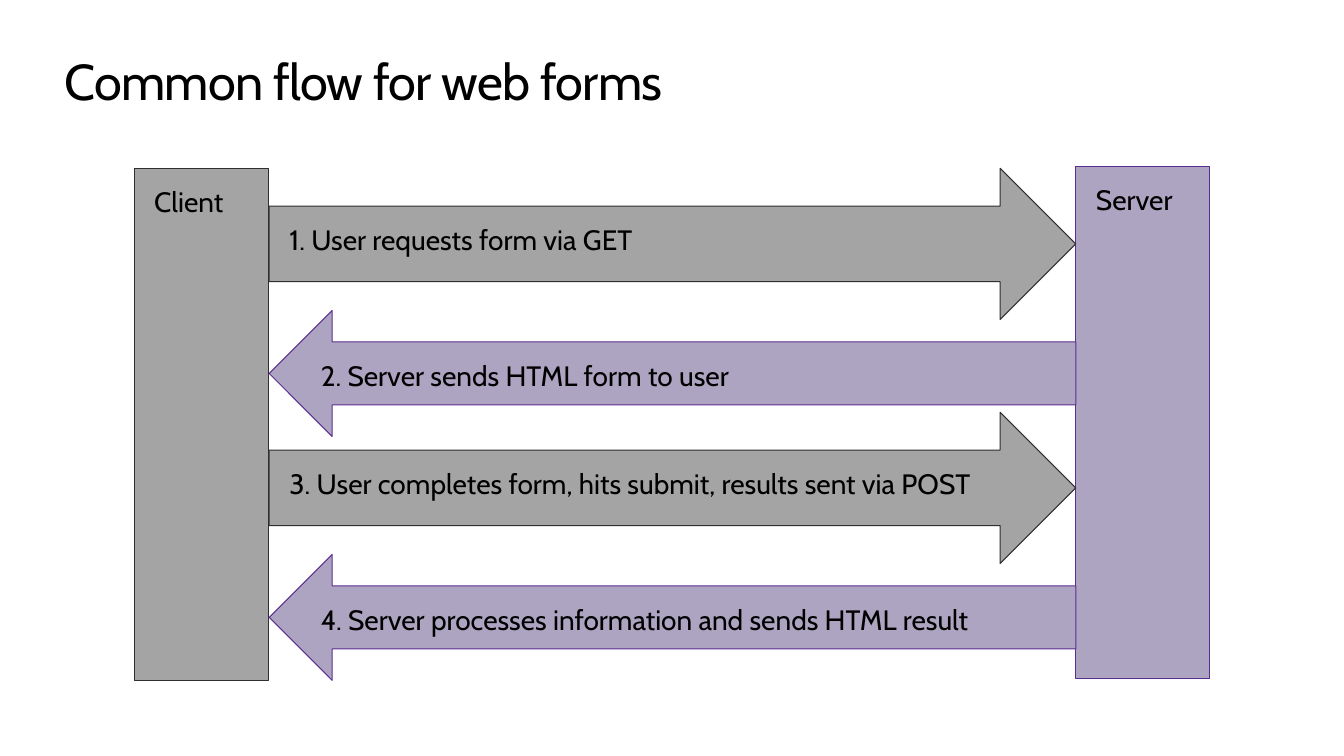
from pptx import Presentation
from pptx.dml.color import RGBColor
from pptx.enum import shapes, text
from pptx.util import Inches, Pt

FONT = "Cabin"
COLORS = {
    "text": "000000",
    "client_fill": "A4A4A4", "client_line": "2F2F2F",
    "server_fill": "ADA4C1", "server_line": "5C2D91",
}
SHAPE = shapes.MSO_SHAPE


def color(name):
    return RGBColor.from_string(COLORS[name])


def write(tf, words, size, inset_x=0, inset_y=0):
    """Put one left-aligned run at the top of a text frame."""
    tf.word_wrap = True
    tf.vertical_anchor = text.MSO_ANCHOR.TOP
    tf.margin_left = tf.margin_right = Inches(inset_x)
    tf.margin_top = tf.margin_bottom = Inches(inset_y)
    p = tf.paragraphs[0]
    p.alignment = text.PP_ALIGN.LEFT
    r = p.add_run()
    r.text = words
    r.font.name = FONT
    r.font.size = Pt(size)
    r.font.color.rgb = color("text")
    return r


def add_title(s, words, left, top, width, height):
    tf = s.shapes.add_textbox(*map(Inches, (left, top, width, height))).text_frame
    r = write(tf, words, 36)
    r.font._element.set("spc", "-50")


def add_block(s, kind, side, words, left, top, width, height):
    """Draw a labelled shape in the colours of the client or the server."""
    sp = s.shapes.add_shape(kind, *map(Inches, (left, top, width, height)))
    sp.shadow.inherit = False
    sp.fill.solid()
    sp.fill.fore_color.rgb = color(f"{side}_fill")
    sp.line.color.rgb = color(f"{side}_line")
    sp.line.width = Pt(0.75)
    write(sp.text_frame, words, 20, 0.2, 0.16)


def add_flow(s, left, top, width, height):
    """Place the two parties with their two request and response pairs between."""
    party_w = 1.33
    arrow_left, arrow_w = left + party_w + 0.01, width - 2 * party_w - 0.01
    add_block(s, SHAPE.RECTANGLE, "client", "Client", left, top, party_w, height)
    add_block(s, SHAPE.RECTANGLE, "server", "Server",
              left + width - party_w, top - 0.02, party_w, height)

    exchanges = [
        ("1. User requests form via GET",
         "2. Server sends HTML form to user"),
        ("3. User completes form, hits submit, results sent via POST",
         "4. Server processes information and sends HTML result"),
    ]
    for i, (request, response) in enumerate(exchanges):
        y = top + i * 2.42
        add_block(s, SHAPE.RIGHT_ARROW, "client", request,
                  arrow_left, y, arrow_w, 1.5)
        add_block(s, SHAPE.LEFT_ARROW, "server", response,
                  arrow_left, y + 1.41, arrow_w, 1.25)


def main():
    prs = Presentation()
    prs.slide_width, prs.slide_height = Inches(13.33), Inches(7.5)
    s = prs.slides.add_slide(prs.slide_layouts[6])
    add_title(s, "Common flow for web forms", 0.64, 0.5, 12.05, 0.61)
    add_flow(s, 1.33, 1.67, 10.67, 5.08)
    prs.save("out.pptx")


if __name__ == "__main__":
    main()
